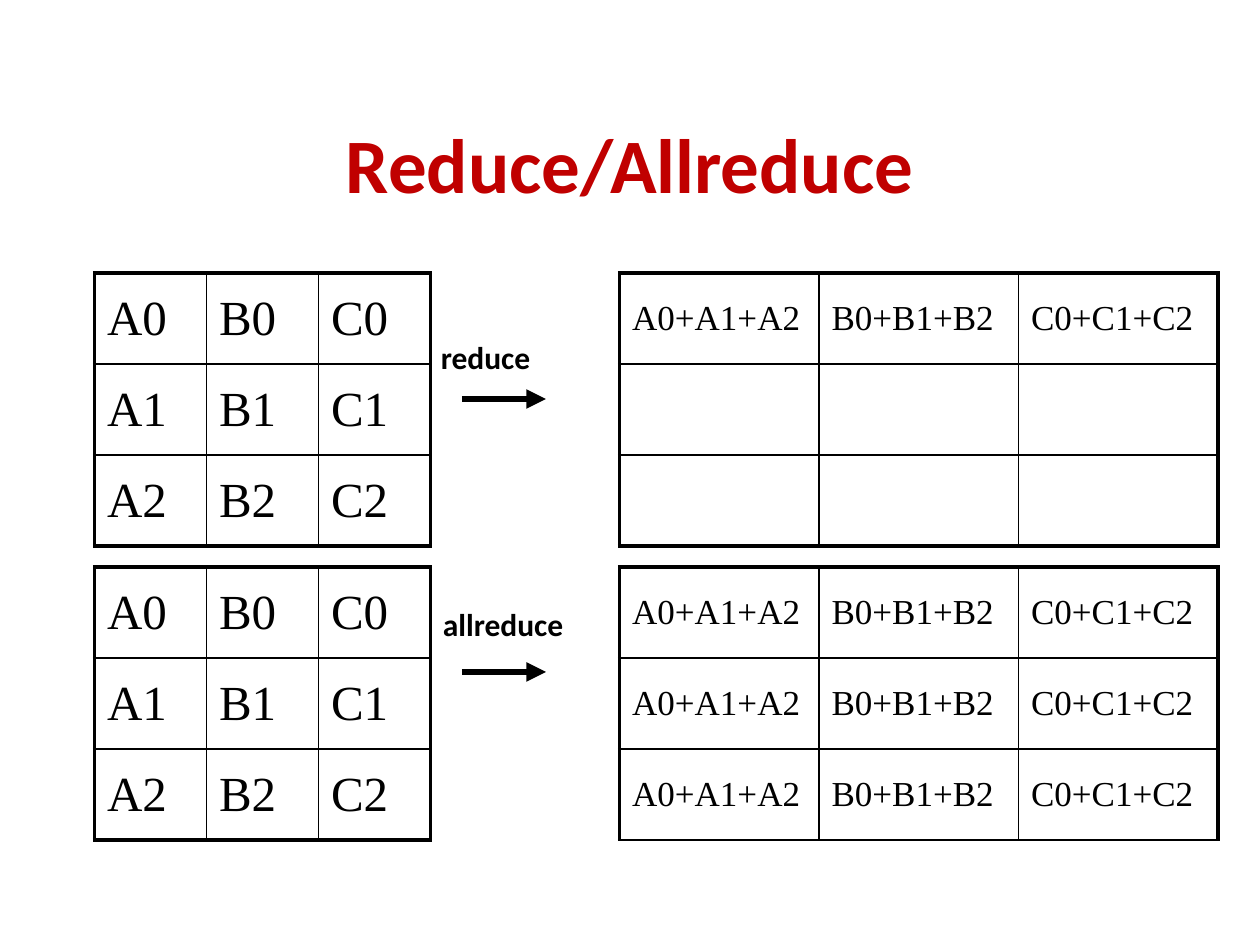
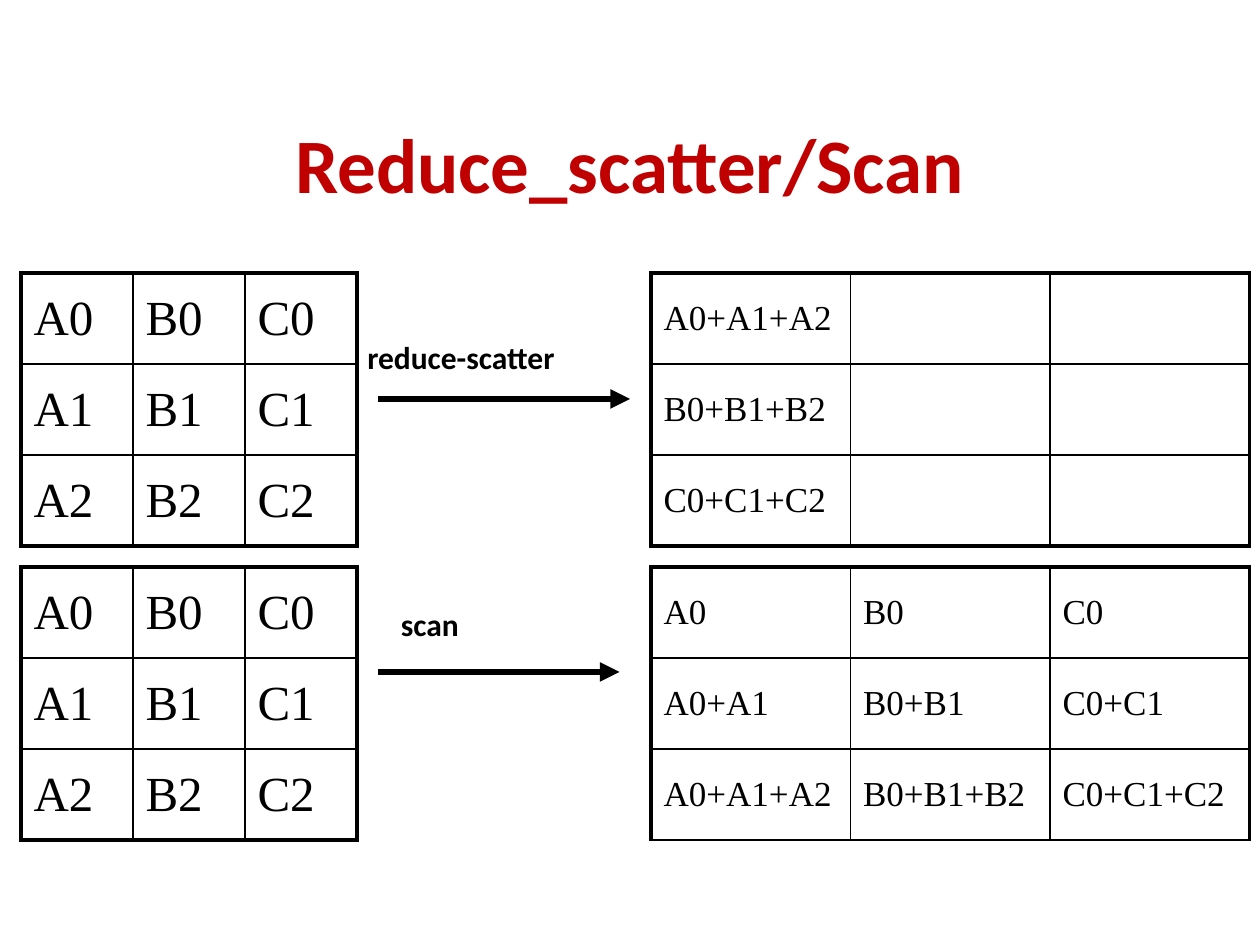
from lxml import etree
from pptx import Presentation
from pptx.dml.color import RGBColor
from pptx.enum.shapes import MSO_CONNECTOR
from pptx.enum.text import MSO_ANCHOR, PP_ALIGN
from pptx.oxml.ns import qn
from pptx.util import Inches, Pt

STRAIGHT = MSO_CONNECTOR.STRAIGHT
MIDDLE, TOP = MSO_ANCHOR.MIDDLE, MSO_ANCHOR.TOP
CENTER, LEFT = PP_ALIGN.CENTER, PP_ALIGN.LEFT

TITLE_COLOR, INK = "C00000", "000000"
HEADING_FONT, TABLE_FONT = "Calibri", "Times New Roman"
THIN, THICK = 0.96, 2.21

# Grid: the slide has 120 columns and 90 rows, one unit is a twelfth of an inch
UNIT = Inches(1) / 12
COLUMNS, ROWS = 120, 90
TABLE_ROWS = (26, 54)      # top of the upper and lower example
LABEL_ROWS = (31.6, 57)
ARROW_ROWS = (38, 64)
TABLE_HEIGHT = 26
INPUT_WIDTH, RESULT_WIDTH = 32, 57

INPUT = [[f"{letter}{rank}" for letter in "ABC"] for rank in range(3)]
SUMS = [f"{letter}0+{letter}1+{letter}2" for letter in "ABC"]
EMPTY = [""] * 3
PARTIAL_SUMS = [["A0", "B0", "C0"], ["A0+A1", "B0+B1", "C0+C1"], SUMS]

# Each example: label, label column, label width, arrow end column, result cells
SLIDES = [
    {"title": "Reduce/Allreduce", "input": 9, "result": 59, "arrow": 44,
     "examples": [("reduce", 40.8, 14, 52, [SUMS, EMPTY, EMPTY]),
                  ("allreduce", 41, 18, 52, [SUMS] * 3)]},
    {"title": "Reduce_scatter/Scan", "input": 2, "result": 62, "arrow": 36,
     "examples": [("reduce-scatter", 33.8, 27, 60, [[total, "", ""] for total in SUMS]),
                  ("scan", 37, 10, 59, PARTIAL_SUMS)]},
]


def grid(*units):
    return [round(unit * UNIT) for unit in units]


def add_text(frame, text, size, font, color, bold=False, align=LEFT):
    para = frame.paragraphs[0]
    para.alignment = align
    span = para.add_run()
    span.text = text
    span.font.size = Pt(size)
    span.font.name = font
    span.font.bold = bold
    span.font.color.rgb = RGBColor.from_string(color)


deck = Presentation()
deck.slide_width, deck.slide_height = grid(COLUMNS, ROWS)

for content in SLIDES:
    page = deck.slides.add_slide(deck.slide_layouts[6])

    # Title and example labels
    texts = [(content["title"], (9, 8, 102, 15), 44, TITLE_COLOR, MIDDLE, CENTER)]
    for (label, column, width, _, _), row in zip(content["examples"], LABEL_ROWS):
        texts.append((label, (column, row, width, 4.8), 18, INK, TOP, LEFT))
    for text, place, size, color, anchor, align in texts:
        box = page.shapes.add_textbox(*grid(*place))
        box.text_frame.word_wrap = True
        box.text_frame.vertical_anchor = anchor
        add_text(box.text_frame, text, size, HEADING_FONT, color, True, align)

    # Input and result tables; only the lower result has a thin bottom edge
    tables = []
    for example, top, bottom in zip(content["examples"], TABLE_ROWS, (THICK, THIN)):
        tables.append((INPUT, content["input"], top, INPUT_WIDTH, 28, THICK))
        tables.append((example[-1], content["result"], top, RESULT_WIDTH, 20, bottom))
    for values, left, top, width, size, bottom in tables:
        table = page.shapes.add_table(3, 3, *grid(left, top, width, TABLE_HEIGHT)).table
        table.first_row = table.horz_banding = False
        for row, line in enumerate(values):
            for column, value in enumerate(line):
                cell = table.cell(row, column)
                cell.vertical_anchor = MIDDLE
                if value:
                    add_text(cell.text_frame, value, size, TABLE_FONT, INK)
                borders = {"a:lnL": THICK if column == 0 else THIN,
                           "a:lnR": THICK if column == 2 else THIN,
                           "a:lnT": THICK if row == 0 else THIN,
                           "a:lnB": bottom if row == 2 else THIN}
                properties = cell._tc.get_or_add_tcPr()
                for edge, weight in borders.items():
                    border = etree.SubElement(properties, qn(edge), w=str(Pt(weight)))
                    fill = etree.SubElement(border, qn("a:solidFill"))
                    etree.SubElement(fill, qn("a:srgbClr"), val=INK)
                cell.fill.background()

    # Arrows from input to result
    for example, row in zip(content["examples"], ARROW_ROWS):
        arrow = page.shapes.add_connector(STRAIGHT, *grid(content["arrow"], row, example[3], row))
        arrow.line.width = Pt(3.75)
        arrow.line.color.rgb = RGBColor.from_string(INK)
        etree.SubElement(arrow.line._get_or_add_ln(), qn("a:tailEnd"), type="triangle")
        etree.SubElement(arrow._element.spPr, qn("a:effectLst"))

deck.save("out.pptx")
